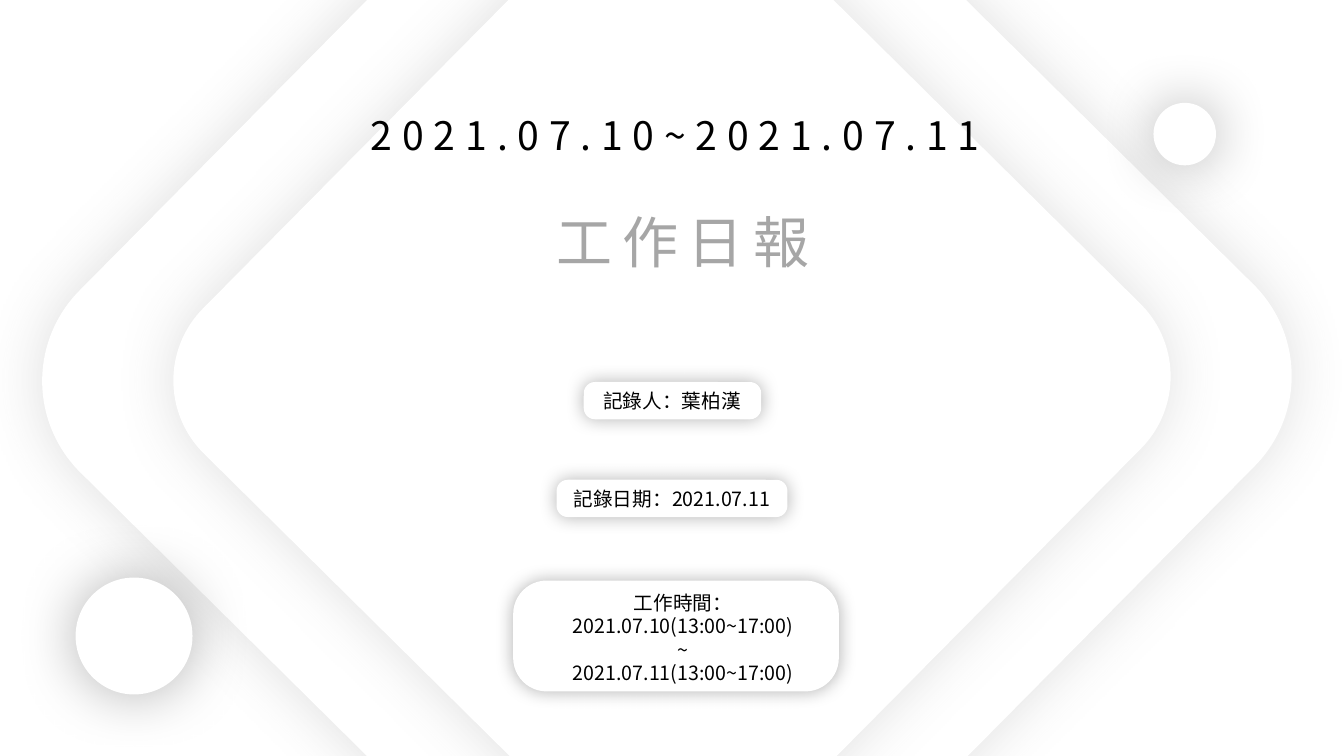
from lxml.etree import SubElement
from pptx import Presentation
from pptx.dml.color import RGBColor
from pptx.enum.shapes import MSO_SHAPE
from pptx.enum.text import MSO_AUTO_SIZE, PP_ALIGN
from pptx.oxml.ns import qn
from pptx.util import Inches, Pt

FONT = "Noto Sans CJK SC"
WHITE, BLACK, GREY = "FFFFFF", "000000", "A6A6A6"

DIAMONDS = [(1.86, -1, 9.51), (2.87, -0.04, 7.59)]
CIRCLES = [(0.75, 5.73, 1.16), (11.44, 1.02, 0.62)]
HEADINGS = [
    ((3.06, 1.06, 7.28, 0.57), "2021.07.10~2021.07.11", 28, BLACK),
    ((4.4, 2.01, 4.75, 0.77), "工作日報", 40, GREY),
]
CARDS = [
    ((5.79, 3.79, 1.76, 0.37), (5.62, 3.81, 2.09, 0.34), "記錄人：葉柏漢"),
    ((5.52, 4.76, 2.29, 0.37), (5.46, 4.78, 2.41, 0.34), "記錄日期：2021.07.11"),
    (
        (5.09, 5.76, 3.23, 1.1),
        (5.12, 5.81, 3.31, 1.04),
        "工作時間：\n2021.07.10(13:00~17:00)\n~\n2021.07.11(13:00~17:00)",
    ),
]


def color(value):
    return RGBColor.from_string(value)


def add_soft_shape(shapes, kind, box, shadow_color, opacity, blur, corner=None):
    shape = shapes.add_shape(kind, *map(Inches, box))
    shape.fill.solid()
    shape.fill.fore_color.rgb = color(WHITE)
    shape.line.fill.background()
    if corner is not None:
        shape.adjustments[0] = corner
    shape.shadow.inherit = False
    effects = shape._element.spPr.find(qn("a:effectLst"))
    shadow = SubElement(
        effects, qn("a:outerShdw"), blurRad=str(Pt(blur)), dist="0", dir="0",
        algn="ctr", rotWithShape="0",
    )
    tint = SubElement(shadow, qn("a:srgbClr"), val=shadow_color)
    SubElement(tint, qn("a:alpha"), val=str(opacity * 1000))
    return shape


def add_text(shapes, box, text, size, text_color, letter_spacing=0, line_height=None):
    text_box = shapes.add_textbox(*map(Inches, box))
    text_frame = text_box.text_frame
    text_frame.text = text
    text_frame.word_wrap = True
    text_frame.auto_size = MSO_AUTO_SIZE.SHAPE_TO_FIT_TEXT
    for paragraph in text_frame.paragraphs:
        paragraph.alignment = PP_ALIGN.CENTER
        if line_height:
            paragraph.line_spacing = line_height
        for run in paragraph.runs:
            run.font.size = Pt(size)
            run.font.name = FONT
            run.font.color.rgb = color(text_color)
            properties = run.font._element
            SubElement(properties, qn("a:ea"), typeface=FONT)
            if letter_spacing:
                properties.set("spc", str(letter_spacing * 100))


def main():
    presentation = Presentation()
    presentation.slide_width = Inches(13.33)
    presentation.slide_height = Inches(7.5)
    slide = presentation.slides.add_slide(presentation.slide_layouts[6])

    for left, top, side in DIAMONDS:
        diamond = add_soft_shape(
            slide.shapes, MSO_SHAPE.ROUNDED_RECTANGLE, (left, top, side, side),
            "595959", 19, 43, 0.134,
        )
        diamond.rotation = 44.7
    for box, text, size, text_color in HEADINGS:
        add_text(slide.shapes, box, text, size, text_color, letter_spacing=7)
    for left, top, side in CIRCLES:
        add_soft_shape(
            slide.shapes, MSO_SHAPE.OVAL, (left, top, side, side), BLACK, 30, 43
        )
    for card_box, text_area, text in CARDS:
        group = slide.shapes.add_group_shape()
        add_soft_shape(
            group.shapes, MSO_SHAPE.ROUNDED_RECTANGLE, card_box, BLACK, 30, 13, 0.302
        )
        add_text(group.shapes, text_area, text, 14, BLACK)

    presentation.save("out.pptx")


if __name__ == "__main__":
    main()
